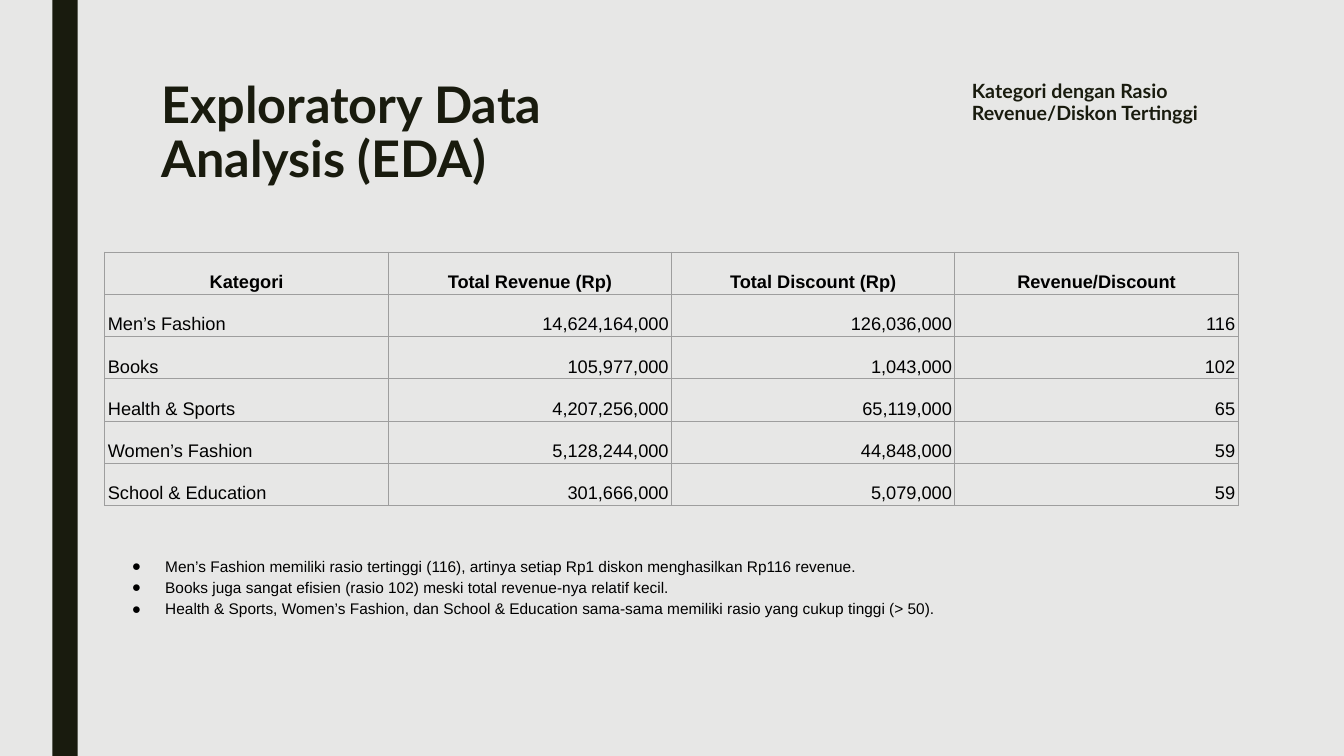
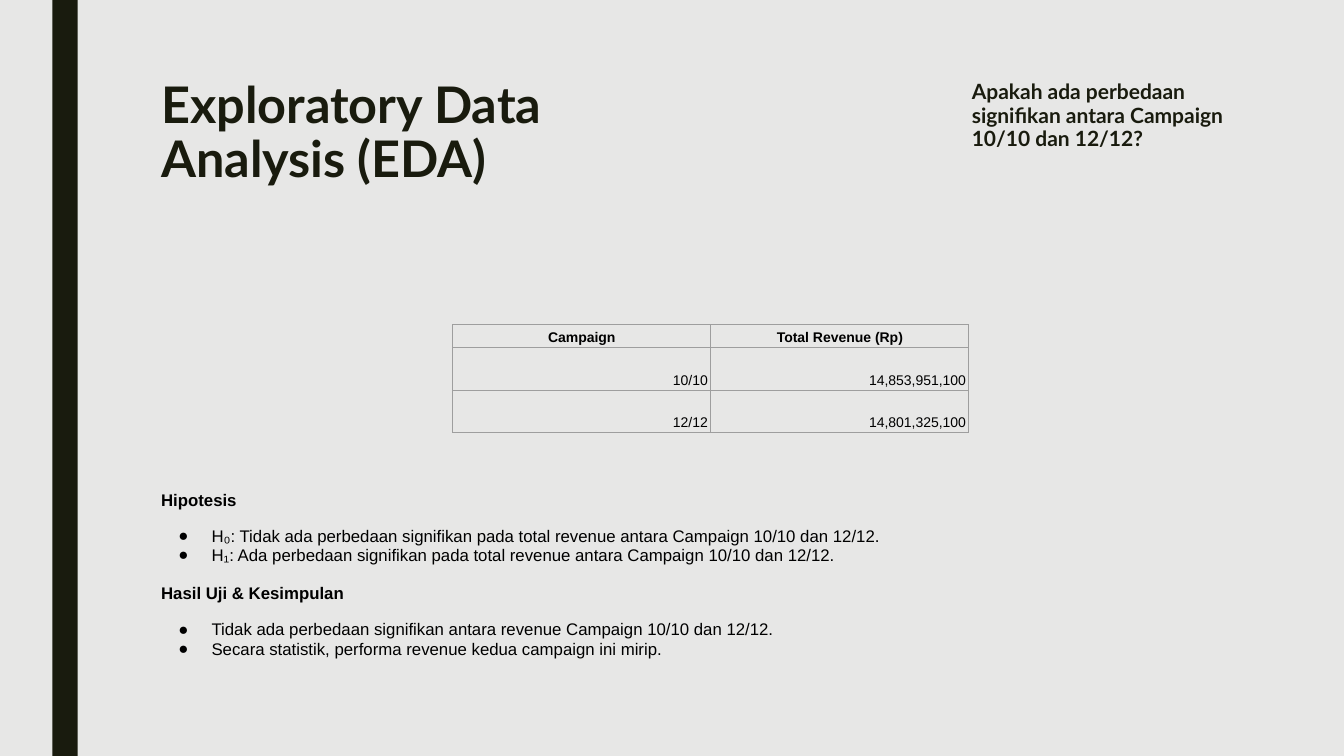
from dataclasses import dataclass
from lxml.etree import SubElement
from pptx import Presentation
from pptx.dml.color import RGBColor
from pptx.enum.shapes import MSO_SHAPE
from pptx.enum.text import MSO_ANCHOR, PP_ALIGN
from pptx.oxml.ns import qn
from pptx.util import Inches, Pt


@dataclass(frozen=True)
class Theme:
    back: str = "E7E7E6"
    dark: str = "191B0E"
    ink: str = "000000"
    rule: str = "9E9E9E"
    head: str = "Lato"
    body: str = "Arial"
    title: int = 36
    topics: tuple = (14, 15)
    cells: tuple = (13, 10)
    notes: tuple = (11, 12)


theme = Theme()


def write(frame, text, size, font=theme.body, color=theme.ink, bold=False,
          align=PP_ALIGN.LEFT, line=1.15, before=0, bullet=False):
    para = frame.paragraphs[0]
    if para.runs:
        para = frame.add_paragraph()
    para.alignment = align
    para.line_spacing = line
    para.space_before = Pt(before)
    if bullet:
        props = para._p.get_or_add_pPr()
        props.set("marL", str(Inches(0.5)))
        props.set("indent", str(Inches(-0.33)))
        tint = SubElement(props, qn("a:buClr"))
        SubElement(tint, qn("a:srgbClr"), val=color)
        SubElement(props, qn("a:buFont"), typeface=font)
        SubElement(props, qn("a:buChar"), char="●")
    run = para.add_run()
    run.text = text
    run.font.name = font
    run.font.size = Pt(size)
    run.font.bold = bold
    run.font.color.rgb = RGBColor.from_string(color)


def frame_at(slide, left, top, width, height):
    box = slide.shapes.add_textbox(Inches(left), Inches(top), Inches(width), Inches(height))
    box.text_frame.word_wrap = True
    return box.text_frame


pages = [
    {
        "topic": "Kategori dengan Rasio Revenue/Diskon Tertinggi",
        "table": (1.04, 2.5),
        "width": 2.81,
        "top row": 0.42,
        "rows": [
            ("Kategori", "Total Revenue (Rp)", "Total Discount (Rp)", "Revenue/Discount"),
            ("Men’s Fashion", "14,624,164,000", "126,036,000", "116"),
            ("Books", "105,977,000", "1,043,000", "102"),
            ("Health & Sports", "4,207,256,000", "65,119,000", "65"),
            ("Women’s Fashion", "5,128,244,000", "44,848,000", "59"),
            ("School & Education", "301,666,000", "5,079,000", "59"),
        ],
        "notes": (1.04, 5.45, 11.25, 1.55),
        "line": 1.15,
        "groups": [
            ("", [
                "Men’s Fashion memiliki rasio tertinggi (116), artinya setiap Rp1 diskon menghasilkan Rp116 revenue.",
                "Books juga sangat efisien (rasio 102) meski total revenue-nya relatif kecil.",
                "Health & Sports, Women’s Fashion, dan School & Education sama-sama memiliki rasio yang cukup tinggi (> 50).",
            ]),
        ],
    },
    {
        "topic": "Apakah ada perbedaan signifikan antara Campaign 10/10 dan 12/12?",
        "table": (4.49, 3.22),
        "width": 2.56,
        "top row": 0.23,
        "rows": [
            ("Campaign", "Total Revenue (Rp)"),
            ("10/10", "14,853,951,100"),
            ("12/12", "14,801,325,100"),
        ],
        "notes": (1.5, 4.82, 8.86, 2.2),
        "line": 0.95,
        "groups": [
            ("Hipotesis", [
                "H₀: Tidak ada perbedaan signifikan pada total revenue antara Campaign 10/10 dan 12/12.",
                "H₁: Ada perbedaan signifikan pada total revenue antara Campaign 10/10 dan 12/12.",
            ]),
            ("Hasil Uji & Kesimpulan", [
                "Tidak ada perbedaan signifikan antara revenue Campaign 10/10 dan 12/12.",
                "Secara statistik, performa revenue kedua campaign ini mirip.",
            ]),
        ],
    },
]

deck = Presentation()
deck.slide_width = Inches(13.33)
deck.slide_height = Inches(7.5)
blank = deck.slide_layouts[6]
slides = [deck.slides.add_slide(blank) for page in pages]

master = deck.slide_master
master.background.fill.solid()
master.background.fill.fore_color.rgb = RGBColor.from_string(theme.back)
band = slides[0].shapes.add_shape(
    MSO_SHAPE.RECTANGLE, Inches(0.52), 0, Inches(0.25), deck.slide_height)
band.shadow.inherit = False
band.fill.solid()
band.fill.fore_color.rgb = RGBColor.from_string(theme.dark)
band.line.fill.background()
master.shapes._spTree.append(band._element)

for slide, page, topic, size, note in zip(
        slides, pages, theme.topics, theme.cells, theme.notes):
    write(frame_at(slide, 1.5, 0.75, 5.1, 1.6), "Exploratory Data Analysis (EDA)",
          theme.title, font=theme.head, color=theme.dark, bold=True, line=0.89)
    write(frame_at(slide, 9.54, 0.75, 3.19, 1.6), page["topic"],
          topic, font=theme.head, color=theme.dark, bold=True, line=0.94)

    rows = page["rows"]
    count = len(rows[0])
    left, top = page["table"]
    highs = [page["top row"]] + [0.42] * (len(rows) - 1)
    table = slide.shapes.add_table(
        len(rows), count, Inches(left), Inches(top),
        Inches(page["width"] * count), Inches(sum(highs))).table
    table.first_row = False
    table.horz_banding = False
    for col in table.columns:
        col.width = Inches(page["width"])
    for r, (row, high) in enumerate(zip(rows, highs)):
        table.rows[r].height = Inches(high)
        for c, text in enumerate(row):
            cell = table.cell(r, c)
            cell.margin_left = cell.margin_right = Inches(0.03)
            cell.margin_top = cell.margin_bottom = Inches(0.02)
            cell.vertical_anchor = MSO_ANCHOR.BOTTOM
            for side in ("lnL", "lnR", "lnT", "lnB"):
                edge = SubElement(cell._tc.get_or_add_tcPr(), qn("a:" + side), w=str(Pt(0.75)))
                fill = SubElement(edge, qn("a:solidFill"))
                SubElement(fill, qn("a:srgbClr"), val=theme.rule)
            cell.fill.background()
            if r == 0:
                align = PP_ALIGN.CENTER
            elif text[0].isdigit():
                align = PP_ALIGN.RIGHT
            else:
                align = PP_ALIGN.LEFT
            write(cell.text_frame, text, size, bold=r == 0, align=align)

    notes = frame_at(slide, *page["notes"])
    for g, (head, points) in enumerate(page["groups"]):
        if head:
            write(notes, head, note, bold=True, line=page["line"], before=14 if g else 0)
        for p, point in enumerate(points):
            write(notes, point, note, line=page["line"], bullet=True,
                  before=12 if head and p == 0 else 0)

deck.save("out.pptx")
